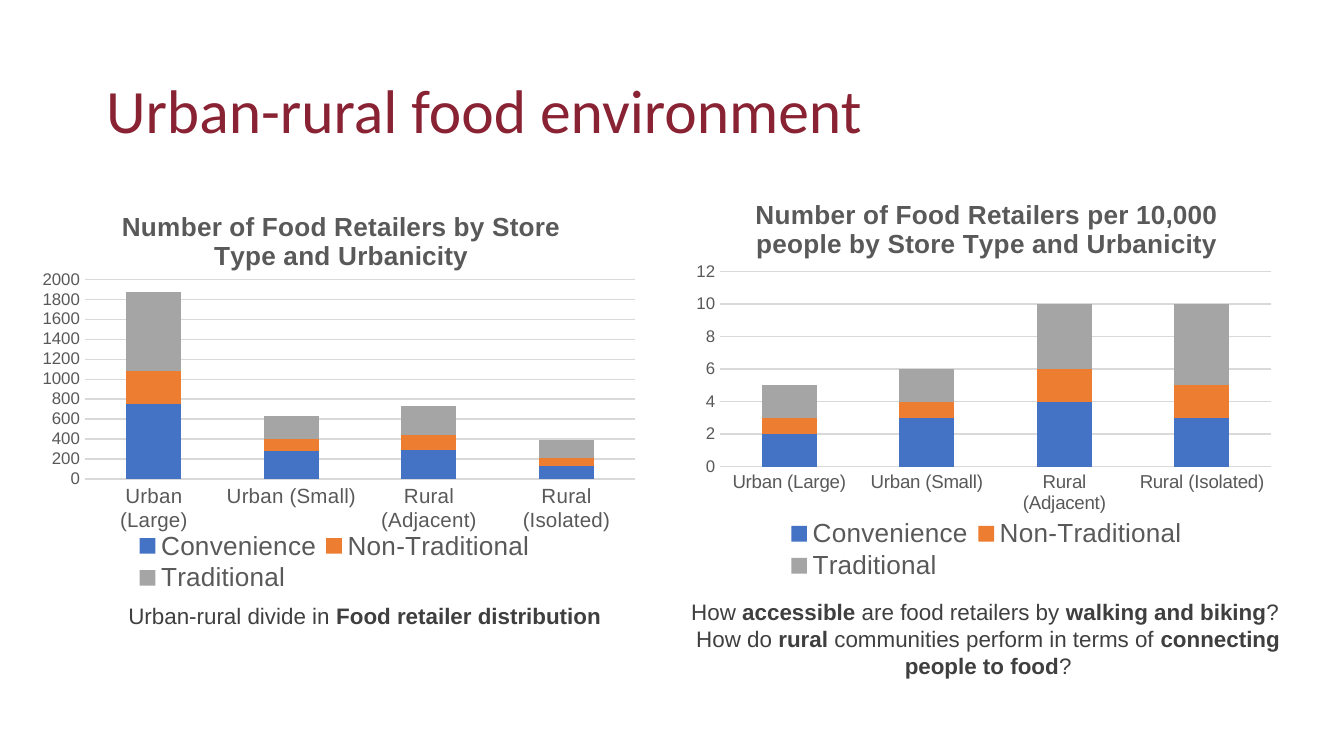
from lxml import etree
from pptx import Presentation
from pptx import util as u
from pptx.chart.data import CategoryChartData
from pptx.dml.color import RGBColor
from pptx.enum import chart as ch, text as tx
from pptx.oxml.ns import qn

THEME = {
    "title": {"name": "Calibri", "size": 33, "color": "892333", "bold": False},
    "caption": {"name": "Arial", "size": 12, "color": "3F3F3F", "bold": False},
    "strong": {"name": "Arial", "size": 12, "color": "3F3F3F", "bold": True},
    "chart": {"name": "Arial", "size": 10, "color": "000000"},
    "chart_title": {"name": "Arial", "size": 14, "color": "595959", "bold": True},
    "legend": {"name": "Arial", "size": 14, "color": "595959"},
    "values": {"name": "Arial", "size": 9, "color": "595959"},
    "category": {"name": "Arial", "color": "595959"},
    "rule": "D9D9D9",
    "series": ["4472C4", "ED7D31", "A5A5A5"],
}

HEADING = "Urban-rural food environment"
HEADING_BOX = (1.75, 0.76, 21.89, 2.77)
AREAS = ["Urban (Large)", "Urban (Small)", "Rural (Adjacent)", "Rural (Isolated)"]
STORES = ["Convenience", "Non-Traditional", "Traditional"]

PANELS = [
    {
        "title": "Number of Food Retailers by Store Type and Urbanicity",
        "counts": [(750, 280, 290, 130), (330, 120, 150, 80), (790, 230, 290, 180)],
        "box": (0.28, 3.48, 12.09, 7.85),
        "category_size": 11,
        "step": 200,
        "top": 2000,
        "layout": {
            "title": (0.16, 0.05),
            "plotArea": (0.11, 0.23, 0.86, 0.48),
            "legend": (0.18, 0.83, 0.64, 0.16),
        },
        "caption_box": (1.65, 11.25, 10.49, 0.76),
        "caption": [[("Urban-rural divide in ", "caption"),
                     ("Food retailer distribution", "strong")]],
    },
    {
        "title": "Number of Food Retailers per 10,000 people by Store Type and Urbanicity",
        "counts": [(2, 3, 4, 3), (1, 1, 2, 2), (2, 2, 4, 5)],
        "box": (12.93, 3.25, 11.43, 7.85),
        "category_size": 10,
        "step": 2,
        "top": 12,
        "layout": {
            "title": (0.11, 0.05),
            "plotArea": (0.06, 0.24, 0.91, 0.47),
            "legend": (0.16, 0.83, 0.68, 0.16),
        },
        "caption_box": (12.73, 11.18, 11.89, 1.8),
        "caption": [
            [("How ", "caption"), ("accessible", "strong"),
             (" are food retailers by ", "caption"),
             ("walking and biking", "strong"), ("? ", "caption")],
            [("How do ", "caption"), ("rural", "strong"),
             (" communities perform in terms of ", "caption"),
             ("connecting people to food", "strong"), ("?", "caption")],
        ],
    },
]


def apply(target, **values):
    for key, value in values.items():
        setattr(target, key, value)


def style(font, role, **extra):
    values = {**THEME[role], **extra}
    font.color.rgb = RGBColor.from_string(values.pop("color"))
    values["size"] = u.Pt(values["size"])
    apply(font, **values)


def cm(box):
    return [u.Cm(length) for length in box]


def draw_rule(line):
    line.color.rgb = RGBColor.from_string(THEME["rule"])
    line.width = u.Pt(0.75)


def place_part(chart, part, box):
    parent = chart.element.xpath(f"c:chart/c:{part}")[0]
    for old in parent.findall(qn("c:layout")):
        parent.remove(old)
    layout = etree.Element(qn("c:layout"))
    manual = etree.SubElement(layout, qn("c:manualLayout"))
    settings = [("xMode", "edge"), ("yMode", "edge"), *zip("xywh", box)]
    if part == "plotArea":
        settings.insert(0, ("layoutTarget", "inner"))
    for tag, value in settings:
        etree.SubElement(manual, qn(f"c:{tag}")).set("val", str(value))
    parent.insert(0 if part == "plotArea" else 1, layout)


def add_stacked_chart(slide, panel):
    data = CategoryChartData()
    data.categories = AREAS
    for store, counts in zip(STORES, panel["counts"]):
        data.add_series(store, counts)
    chart = slide.shapes.add_chart(
        ch.XL_CHART_TYPE.COLUMN_STACKED, *cm(panel["box"]), data).chart
    style(chart.font, "chart")

    title = chart.chart_title.text_frame
    title.text = panel["title"]
    style(title.paragraphs[0].runs[0].font, "chart_title")

    chart.has_legend = True
    apply(chart.legend, position=ch.XL_LEGEND_POSITION.BOTTOM, include_in_layout=False)
    style(chart.legend.font, "legend")

    plot = chart.plots[0]
    apply(plot, gap_width=150, overlap=100, vary_by_categories=False)
    for series, color in zip(plot.series, THEME["series"]):
        series.format.fill.solid()
        series.format.fill.fore_color.rgb = RGBColor.from_string(color)

    for axis in (chart.category_axis, chart.value_axis):
        apply(axis, major_tick_mark=ch.XL_TICK_MARK.NONE,
              minor_tick_mark=ch.XL_TICK_MARK.NONE)
    style(chart.category_axis.tick_labels.font, "category", size=panel["category_size"])
    style(chart.value_axis.tick_labels.font, "values")
    draw_rule(chart.category_axis.format.line)
    draw_rule(chart.value_axis.major_gridlines.format.line)
    chart.value_axis.format.line.fill.background()
    apply(chart.value_axis, minimum_scale=0, maximum_scale=panel["top"],
          major_unit=panel["step"])

    for part, box in panel["layout"].items():
        place_part(chart, part, box)


def add_caption(slide, panel):
    frame = slide.shapes.add_textbox(*cm(panel["caption_box"])).text_frame
    apply(frame, word_wrap=True, auto_size=tx.MSO_AUTO_SIZE.SHAPE_TO_FIT_TEXT)
    for index, phrases in enumerate(panel["caption"]):
        line = frame.add_paragraph() if index else frame.paragraphs[0]
        line.alignment = tx.PP_ALIGN.CENTER
        for words, role in phrases:
            phrase = line.add_run()
            phrase.text = words
            style(phrase.font, role)


def add_heading(slide):
    heading = slide.shapes.title
    apply(heading, **dict(zip(("left", "top", "width", "height"), cm(HEADING_BOX))))
    frame = heading.text_frame
    frame.text = HEADING
    apply(frame, vertical_anchor=tx.MSO_ANCHOR.MIDDLE, word_wrap=True,
          auto_size=tx.MSO_AUTO_SIZE.NONE)
    line = frame.paragraphs[0]
    apply(line, alignment=tx.PP_ALIGN.LEFT, line_spacing=0.9)
    style(line.runs[0].font, "title")


def main():
    deck = Presentation()
    apply(deck, slide_width=u.Cm(25.4), slide_height=u.Cm(14.29))
    slide = deck.slides.add_slide(deck.slide_layouts[5])
    add_heading(slide)
    for panel in PANELS:
        add_stacked_chart(slide, panel)
        add_caption(slide, panel)
    deck.save("out.pptx")


if __name__ == "__main__":
    main()
